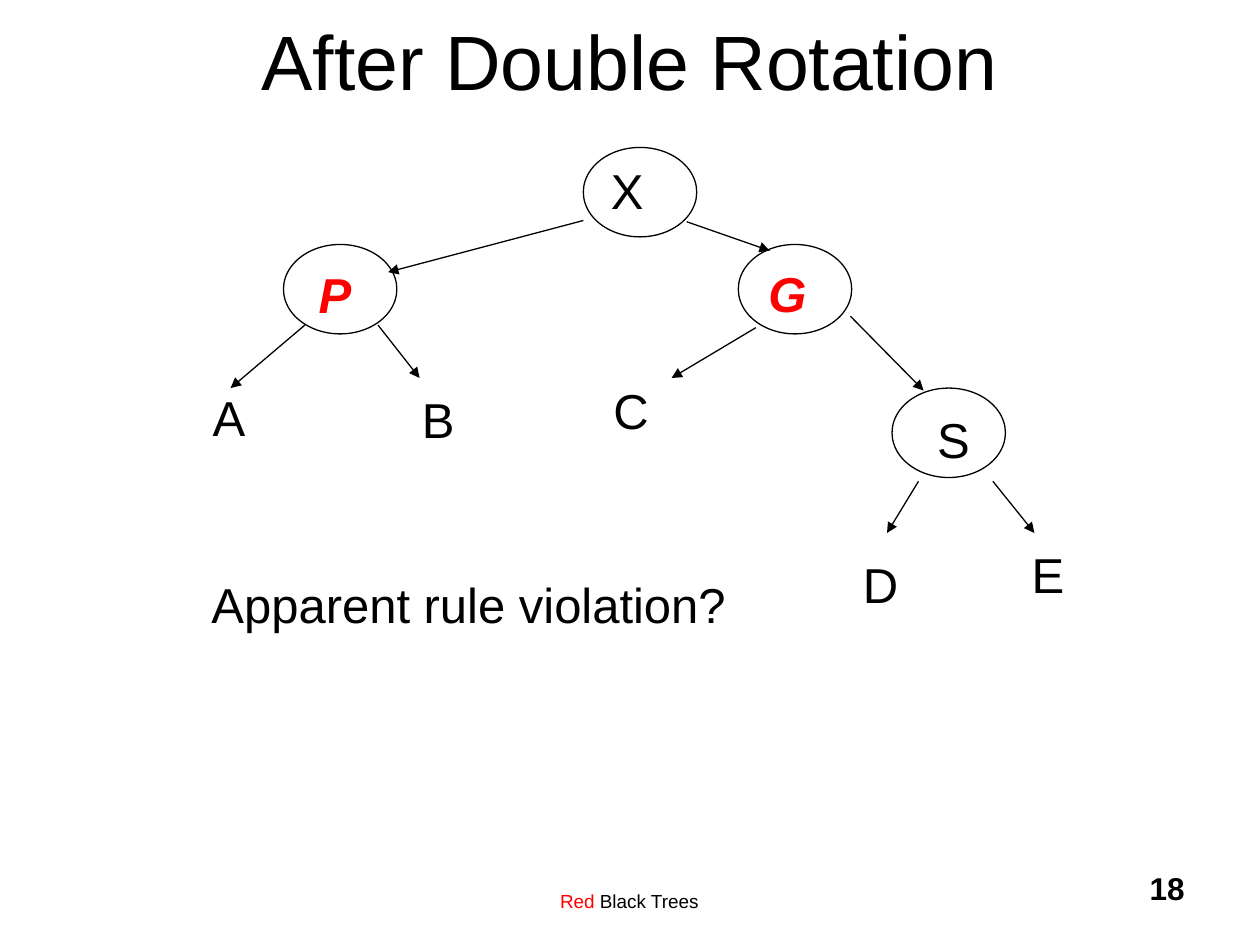
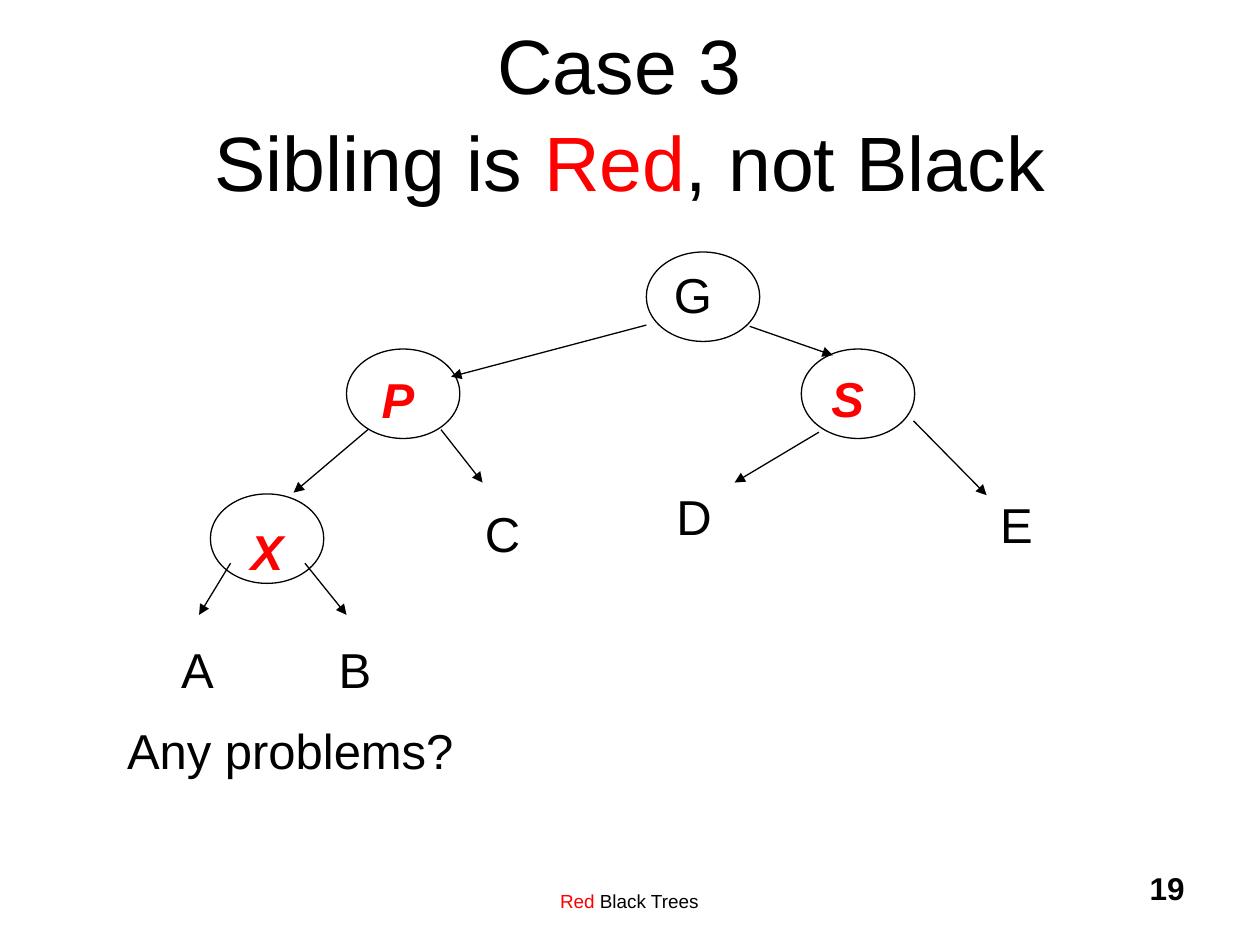
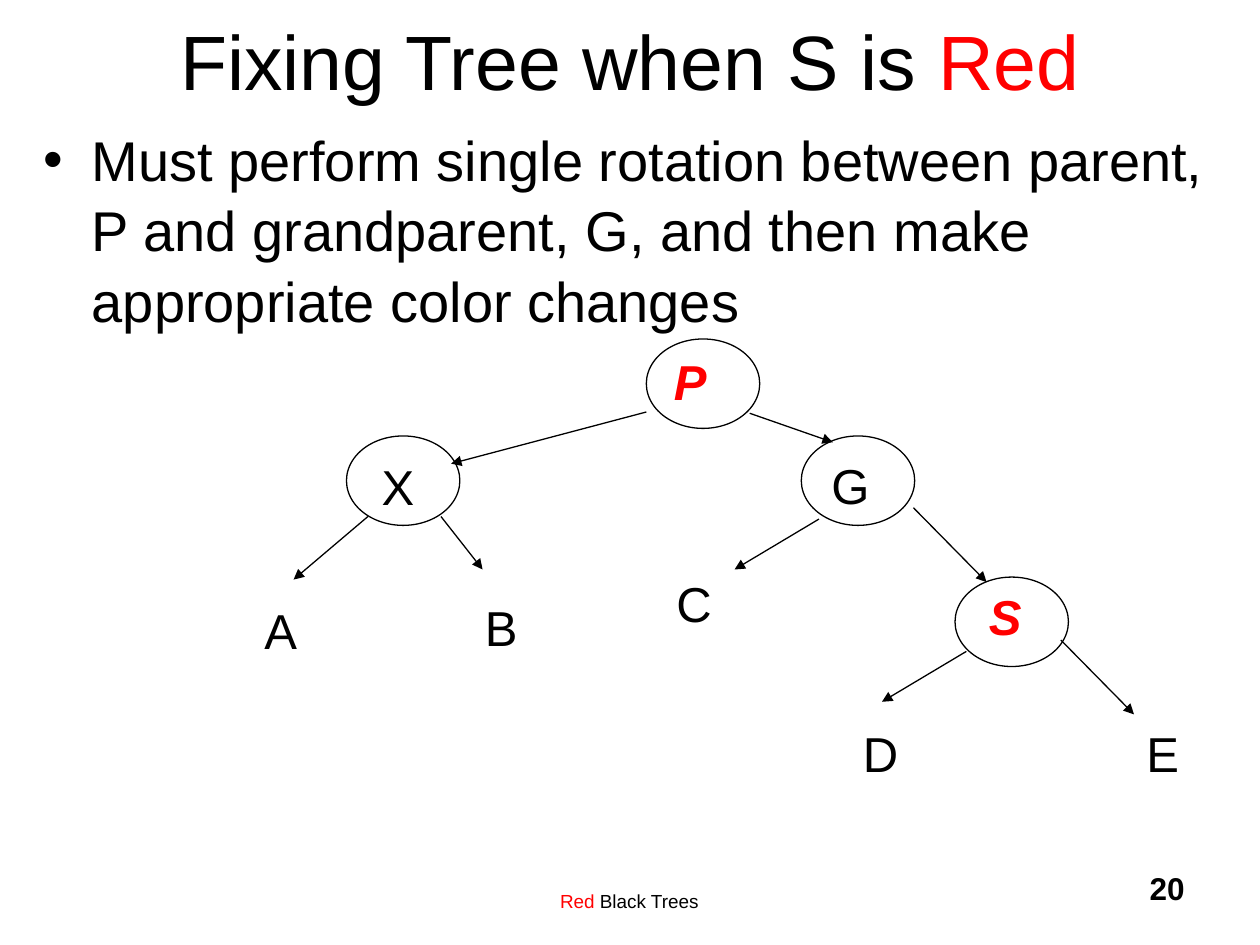
from lxml import etree
from pptx import Presentation
from pptx.dml.color import RGBColor
from pptx.enum.shapes import MSO_CONNECTOR, MSO_SHAPE
from pptx.enum.text import MSO_ANCHOR, MSO_AUTO_SIZE, PP_ALIGN
from pptx.oxml.ns import qn
from pptx.util import Inches, Pt

OVAL, STRAIGHT = MSO_SHAPE.OVAL, MSO_CONNECTOR.STRAIGHT
LEFT, CENTER, RIGHT = PP_ALIGN.LEFT, PP_ALIGN.CENTER, PP_ALIGN.RIGHT
TOP, MIDDLE, BOTTOM = MSO_ANCHOR.TOP, MSO_ANCHOR.MIDDLE, MSO_ANCHOR.BOTTOM
COLORS = {"ink": "000000", "red": "FF0000"}
FONT = "Arial"

# Content: text between asterisks is red; positions are inches on the slide.
# "nodes" labels the root, its left child and its right child.
# "lower" is the third-level node: place, label, label place, fork, fork shift.
SLIDES = [
    {
        "number": 18, "title": "After Double Rotation", "title_top": -0.17,
        "root": (4.63, 1.17), "nodes": ("X", "*P*", "*G*"),
        "lower": ((7.08, 3.08), "S", (7.34, 3.18), "narrow", (0, 0)),
        "leaves": {"A": (1.59, 3), "B": (3.25, 3.02), "C": (4.77, 2.95),
                   "D": (6.75, 4.33), "E": (8.09, 4.25)},
        "question": ("Apparent rule violation?", 1.58, 4.49, 4.28),
    },
    {
        "number": 19, "title": "Case 3 \nSibling is *Red*, not Black", "title_top": 0.25,
        "root": (5.13, 2), "nodes": ("G", "*P*", "*S*"),
        "lower": ((1.67, 3.92), "*X*", (1.89, 4.07), "narrow", (-0.05, -0.19)),
        "leaves": {"A": (1.34, 5), "B": (2.59, 5), "C": (3.75, 3.92),
                   "D": (5.27, 3.79), "E": (7.84, 3.85)},
        "question": ("Any problems?", 0.91, 5.65, 2.79),
    },
    {
        "number": 20, "title": "Fixing Tree when S is *Red*", "title_top": -0.17,
        "bullet": "Must perform single rotation between parent, P and grandparent, G, "
                  "and then make appropriate color changes",
        "root": (5.13, 2.69), "nodes": ("*P*", "X", "G"),
        "lower": ((7.58, 4.58), "*S*", (7.75, 4.58), "wide", (-0.05, -0.07)),
        "leaves": {"A": (2, 4.69), "B": (3.75, 4.67), "C": (5.27, 4.48),
                   "D": (6.75, 5.67), "E": (9, 5.67)},
    },
]

# Tree geometry: each upper node's offset from the root, its label and its fork
NODE_SIZE = (0.9, 0.71)
UPPER_NODES = [
    ((0, 0), (0.12, 0.03), "root"),
    ((-2.38, 0.77), (0.18, 0.09), "left"),
    ((1.23, 0.77), (0.14, 0.08), "wide"),
]
# Arrows (start, end) measured from the node they leave
FORKS = {
    "root": [((0, 0.58), (-1.55, 0.99)), ((0.82, 0.59), (1.48, 0.82))],
    "left": [((0.17, 0.64), (-0.42, 1.14)), ((0.75, 0.64), (1.08, 1.06))],
    "wide": [((0.14, 0.66), (-0.53, 1.06)), ((0.89, 0.57), (1.47, 1.16))],
    "narrow": [((0.21, 0.74), (-0.04, 1.15)), ((0.8, 0.74), (1.13, 1.15))],
}
LABEL_HEIGHT = 0.57
LABEL_WIDTHS = {"C": 0.48, "D": 0.48, "G": 0.5}


def color(name):
    return RGBColor.from_string(COLORS[name])


def shift(point, offset):
    return point[0] + offset[0], point[1] + offset[1]


def add_text(page, text, left, top, width, height, size=28, align=LEFT, anchor=TOP,
             wrap=True, bold=False, red_style=False, before=0, inset_bottom=0.05):
    box = page.shapes.add_textbox(*map(Inches, (left, top, width, height)))
    frame = box.text_frame
    frame.word_wrap = wrap
    frame.auto_size = MSO_AUTO_SIZE.NONE if wrap else MSO_AUTO_SIZE.SHAPE_TO_FIT_TEXT
    frame.vertical_anchor = anchor
    frame.margin_bottom = Inches(inset_bottom)
    para = frame.paragraphs[0]
    para.alignment, para.line_spacing, para.space_before = align, 1.05, Pt(before)
    for index, part in enumerate(text.split("*")):
        is_red = index % 2 == 1
        for row, line in enumerate(part.split("\n")):
            if row:
                para.add_line_break()
            if not line:
                continue
            span = para.add_run()
            span.text = line
            span.font.name, span.font.size = FONT, Pt(size)
            span.font.bold = bold or (is_red and red_style)
            span.font.italic = is_red and red_style
            span.font.color.rgb = color("red" if is_red else "ink")
    return para


def add_bullet(para, indent):
    props = para._p.get_or_add_pPr()
    props.set("marL", str(Inches(indent)))
    props.set("indent", str(-Inches(indent)))
    tint = etree.SubElement(props, qn("a:buClr"))
    etree.SubElement(tint, qn("a:srgbClr"), val=COLORS["ink"])
    etree.SubElement(props, qn("a:buFont"), typeface=FONT)
    etree.SubElement(props, qn("a:buChar"), char="•")


def add_label(page, text, place, width=None):
    width = width or LABEL_WIDTHS.get(text.strip("*"), 0.46)
    add_text(page, text, *place, width, LABEL_HEIGHT, wrap=False, red_style=True, before=7)


def add_node(page, place, text, label_place, fork, fork_shift=(0, 0)):
    oval = page.shapes.add_shape(OVAL, *map(Inches, (*place, *NODE_SIZE)))
    oval.shadow.inherit = False
    oval.fill.background()
    oval.line.color.rgb, oval.line.width = color("ink"), Pt(0.75)
    add_label(page, text, label_place)
    origin = shift(place, fork_shift)
    for start, end in FORKS[fork]:
        add_arrow(page, shift(origin, start), shift(origin, end))


def add_arrow(page, start, end):
    arrow = page.shapes.add_connector(STRAIGHT, *map(Inches, (*start, *end)))
    arrow.line.color.rgb, arrow.line.width = color("ink"), Pt(0.75)
    etree.SubElement(arrow.line._get_or_add_ln(), qn("a:tailEnd"), type="triangle")
    etree.SubElement(arrow._element.spPr, qn("a:effectLst"))


def add_frame(page, content):
    # Footer, slide number and title
    add_text(page, "*Red* Black Trees", 3.08, 6.83, 3.83, 0.5, size=10.8,
             align=CENTER, anchor=BOTTOM, inset_bottom=0.09)
    add_text(page, str(content["number"]), 7.42, 6.83, 2.08, 0.5, size=18,
             align=RIGHT, bold=True)
    add_text(page, content["title"], 0.75, content["title_top"], 8.5, 1.25, size=44,
             align=CENTER, anchor=MIDDLE)


def add_tree(page, content):
    for text, (offset, label_offset, fork) in zip(content["nodes"], UPPER_NODES):
        place = shift(content["root"], offset)
        add_node(page, place, text, shift(place, label_offset), fork)
    add_node(page, *content["lower"])
    for text, place in content["leaves"].items():
        add_label(page, text, place)


def main():
    deck = Presentation()
    deck.slide_width, deck.slide_height = Inches(10), Inches(7.5)
    for content in SLIDES:
        page = deck.slides.add_slide(deck.slide_layouts[6])
        add_frame(page, content)
        if "bullet" in content:
            para = add_text(page, content["bullet"], 0.25, 0.92, 9.5, 6, size=32, before=8)
            add_bullet(para, 0.38)
        add_tree(page, content)
        if "question" in content:
            text, left, top, width = content["question"]
            add_label(page, text, (left, top), width)
    deck.save("out.pptx")


if __name__ == "__main__":
    main()
